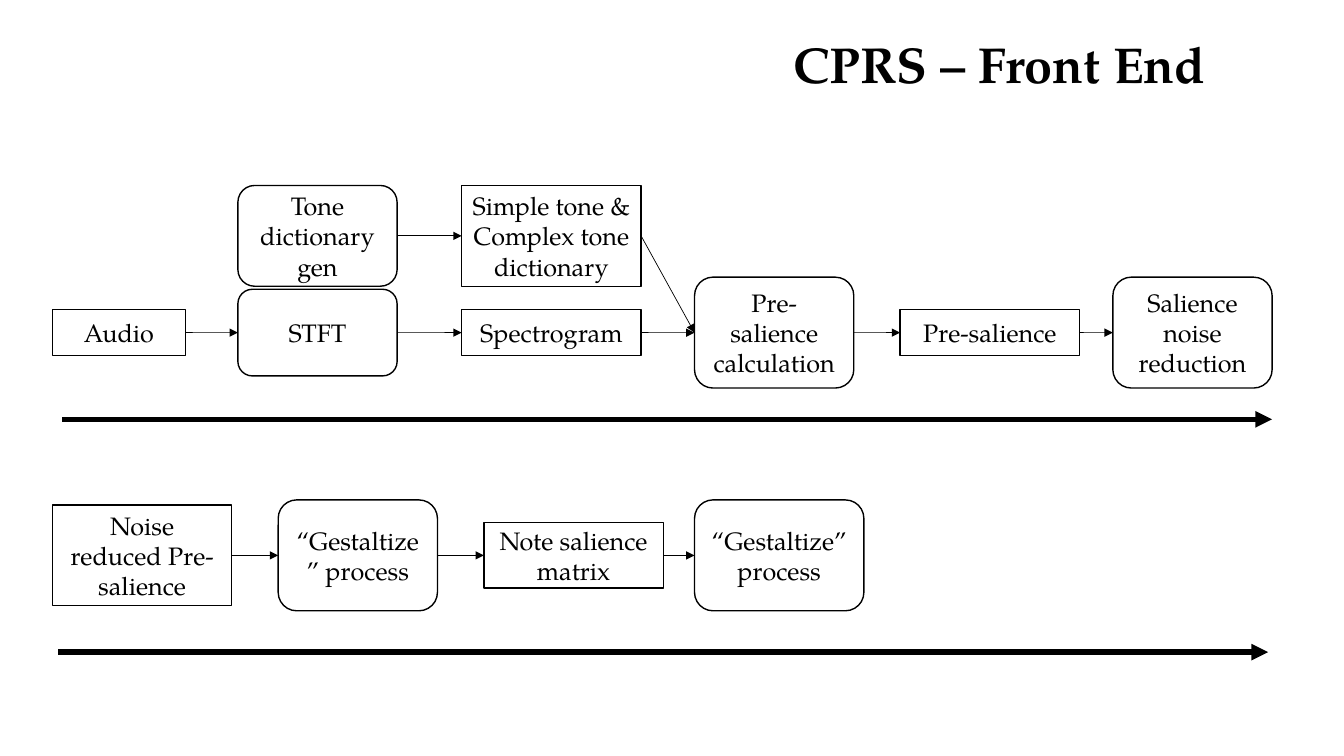
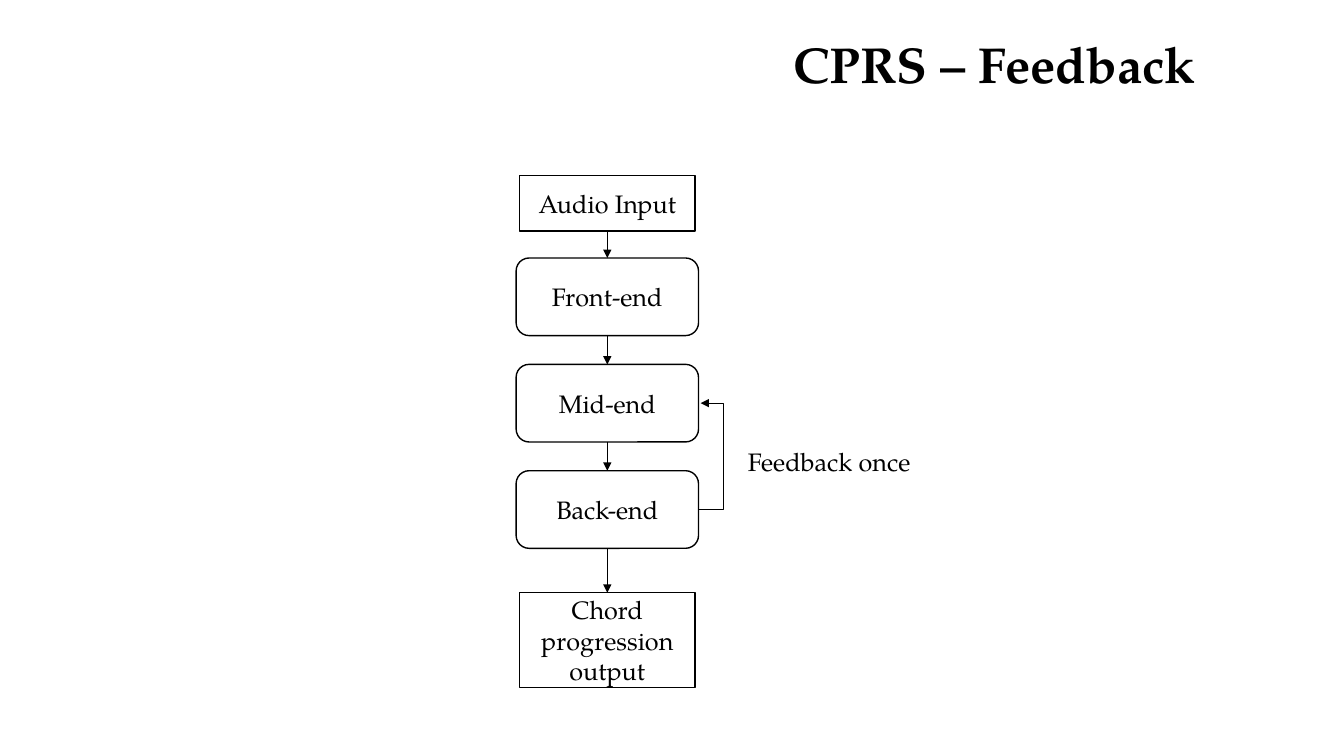
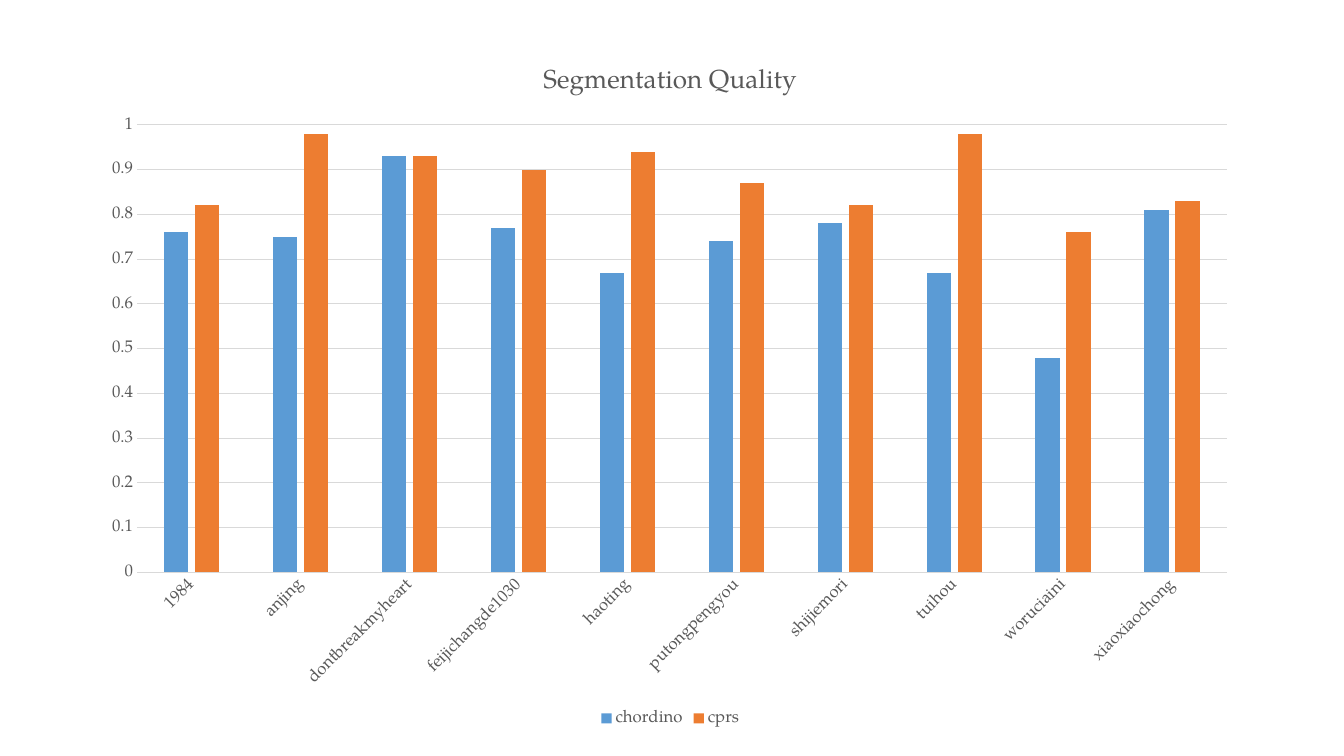
from collections import namedtuple

from lxml.etree import SubElement
from pptx import Presentation
from pptx.chart.data import CategoryChartData
from pptx.dml.color import RGBColor
from pptx.enum.chart import XL_CHART_TYPE, XL_LEGEND_POSITION, XL_TICK_MARK
from pptx.enum.shapes import MSO_CONNECTOR, MSO_SHAPE
from pptx.enum.text import MSO_ANCHOR, MSO_AUTO_SIZE, PP_ALIGN
from pptx.oxml import parse_xml
from pptx.oxml.ns import nsdecls, qn
from pptx.util import Inches, Pt

BLACK = RGBColor(0x00, 0x00, 0x00)
WHITE = RGBColor(0xFF, 0xFF, 0xFF)
GRAY = RGBColor(0x59, 0x59, 0x59)
PALE = RGBColor(0xD9, 0xD9, 0xD9)
BLUE = RGBColor(0x5B, 0x9B, 0xD5)
ORANGE = RGBColor(0xED, 0x7D, 0x31)
FONT = "TeX Gyre Pagella"
CELL = Inches(0.1)
WIDE, HIGH = 133.33, 75
DATA, STEP = MSO_SHAPE.RECTANGLE, MSO_SHAPE.ROUNDED_RECTANGLE
TOP, LEFT, BOTTOM, RIGHT = range(4)

Box = namedtuple("Box", "x y w h")
TITLE = Box(77.7, 2.8, 48.6, 7.1)


def grid(*cells):
    return [int(cell * CELL) for cell in cells]


def style(font, size, color=BLACK, bold=False):
    font.name, font.size, font.bold = FONT, Pt(size), bold
    font.color.rgb = color


def write(frame, text, size, align=PP_ALIGN.LEFT, bold=False):
    frame.text = text
    frame.word_wrap = True
    para = frame.paragraphs[0]
    para.alignment = align
    style(para.runs[0].font, size, bold=bold)


def start(deck, title):
    slide = deck.slides.add_slide(deck.slide_layouts[5])
    head = slide.shapes.title
    head.left, head.top, head.width, head.height = grid(*TITLE)
    write(head.text_frame, title, 36, bold=True)
    head.text_frame.auto_size = MSO_AUTO_SIZE.NONE
    head.text_frame.vertical_anchor = MSO_ANCHOR.TOP
    return slide


def node(slide, kind, box, text):
    shape = slide.shapes.add_shape(kind, *grid(*box))
    shape.shadow.inherit = False
    shape.fill.solid()
    shape.fill.fore_color.rgb = WHITE
    shape.line.color.rgb = BLACK
    shape.line.width = Pt(1)
    write(shape.text_frame, text, 18, PP_ALIGN.CENTER)
    shape.text_frame.vertical_anchor = MSO_ANCHOR.MIDDLE
    return shape


def arrow(slide, ends, width=0.5, kind=MSO_CONNECTOR.STRAIGHT):
    line = slide.shapes.add_connector(kind, *grid(*ends))
    line.line.color.rgb = BLACK
    line.line.width = Pt(width)
    SubElement(line.line._get_or_add_ln(), qn("a:tailEnd"), type="triangle")
    SubElement(line._element.spPr, qn("a:effectLst"))
    return line


def link(slide, first, last, out=RIGHT, into=LEFT):
    line = arrow(slide, (0, 0, 0, 0))
    line.begin_connect(first, out)
    line.end_connect(last, into)


def chain(slide, nodes, out=RIGHT, into=LEFT):
    for first, last in zip(nodes, nodes[1:]):
        link(slide, first, last, out, into)


def row(slide, box, parts):
    nodes = [
        node(slide, kind, Box(box.x + x, box.y + (box.h - h) / 2, w, h), text)
        for text, kind, x, w, h in parts
    ]
    chain(slide, nodes)
    return nodes


def stack(slide, box, parts):
    nodes = [
        node(slide, kind, Box(box.x + (box.w - w) / 2, box.y + y, w, h), text)
        for text, kind, y, w, h in parts
    ]
    chain(slide, nodes, BOTTOM, TOP)
    return nodes


def loop(slide, box, text):
    tip, reach = 0.2, 2.5
    line = arrow(slide, (box.x, box.y + box.h, box.x + tip, box.y),
                 kind=MSO_CONNECTOR.ELBOW)
    guides = line._element.spPr.find(qn("a:prstGeom")).find(qn("a:avLst"))
    SubElement(guides, qn("a:gd"), name="adj1",
               fmla=f"val {round(reach / tip * 100000)}")
    label = slide.shapes.add_textbox(
        *grid(box.x + 3.9, box.y + 3.8, box.w, 4))
    write(label.text_frame, text, 18)


def front(deck):
    slide = start(deck, "CPRS – Front End")
    left, wide = 5.2, 121
    tones = row(slide, Box(left, 18.4, wide, 10), [
        ("Tone dictionary gen", STEP, 18.4, 15.8, 10),
        ("Simple tone & Complex tone dictionary", DATA, 40.6, 17.8, 10),
    ])
    main = row(slide, Box(left, 27.5, wide, 11), [
        ("Audio", DATA, 0, 13.2, 4.6),
        ("STFT", STEP, 18.4, 15.8, 8.6),
        ("Spectrogram", DATA, 40.6, 17.8, 4.6),
        ("Pre-salience calculation", STEP, 63.7, 15.8, 11),
        ("Pre-salience", DATA, 84.1, 17.8, 4.6),
        ("Salience noise reduction", STEP, 105.2, 15.8, 11),
    ])
    link(slide, tones[1], main[3])
    row(slide, Box(left, 49.6, wide, 11), [
        ("Noise reduced Pre-salience", DATA, 0, 17.8, 10),
        ("“Gestaltize” process", STEP, 22.4, 15.8, 11),
        ("Note salience matrix", DATA, 42.8, 17.8, 6.5),
        ("“Gestaltize” process", STEP, 63.7, 16.8, 11),
    ])
    for x, y in ((6.2, 41.6), (5.8, 64.7)):
        arrow(slide, (x, y, x + 120, y), 4)


def back(deck):
    slide = start(deck, "CPRS – Feedback")
    box = Box(51.2, 17.4, 18.1, 50.8)
    steps = [
        (text, STEP, 8.2 + 10.55 * i, box.w, 7.7)
        for i, text in enumerate(("Front-end", "Mid-end", "Back-end"))
    ]
    stack(slide, box, [
        ("Audio Input", DATA, 0, 17.4, 5.5),
        *steps,
        ("Chord progression output", DATA, 41.4, 17.4, 9.4),
    ])
    middle = box.y + steps[1][2] + steps[1][4] / 2
    loop(slide, Box(box.x + box.w, middle, 19, 10.55), "Feedback once")


def place(plot, x, y, w, h):
    plot.insert(0, parse_xml(
        f'<c:layout {nsdecls("c")}><c:manualLayout>'
        '<c:layoutTarget val="inner"/>'
        '<c:xMode val="edge"/><c:yMode val="edge"/>'
        f'<c:x val="{x}"/><c:y val="{y}"/><c:w val="{w}"/><c:h val="{h}"/>'
        '</c:manualLayout></c:layout>'))


def score(deck, box):
    slide = deck.slides.add_slide(deck.slide_layouts[6])
    data = CategoryChartData(number_format="General")
    data.categories = [
        "1984", "anjing", "dontbreakmyheart", "feijichangde1030", "haoting",
        "putongpengyou", "shijiemori", "tuihou", "woruciaini", "xiaoxiaochong",
    ]
    data.add_series("chordino", (0.76, 0.75, 0.93, 0.77, 0.67,
                                 0.74, 0.78, 0.67, 0.48, 0.81))
    data.add_series("cprs", (0.82, 0.98, 0.93, 0.9, 0.94,
                             0.87, 0.82, 0.98, 0.76, 0.83))
    chart = slide.shapes.add_chart(
        XL_CHART_TYPE.COLUMN_CLUSTERED, *grid(*box), data).chart
    style(chart.font, 10)

    chart.has_title = True
    write(chart.chart_title.text_frame, "Segmentation Quality", 18.6,
          PP_ALIGN.CENTER)
    style(chart.chart_title.text_frame.paragraphs[0].runs[0].font, 18.6, GRAY)
    chart.chart_title.include_in_layout = False

    chart.has_legend = True
    chart.legend.position = XL_LEGEND_POSITION.BOTTOM
    chart.legend.include_in_layout = False
    style(chart.legend.font, 12, GRAY)

    names, marks = chart.category_axis, chart.value_axis
    for axis in (names, marks):
        axis.major_tick_mark = axis.minor_tick_mark = XL_TICK_MARK.NONE
        style(axis.tick_labels.font, 12, GRAY)
    names._element.find(qn("c:txPr")).find(qn("a:bodyPr")).set(
        "rot", "-2700000")
    marks.minimum_scale, marks.maximum_scale, marks.major_unit = 0, 1, 0.1
    marks.format.line.fill.background()
    for line in (names.format.line, marks.major_gridlines.format.line):
        line.color.rgb = PALE
        line.width = Pt(0.75)

    plot = chart.plots[0]
    plot.vary_by_categories = False
    plot.gap_width, plot.overlap = 219, -27
    for series, color in zip(plot.series, (BLUE, ORANGE)):
        series.format.fill.solid()
        series.format.fill.fore_color.rgb = color
    area = chart._chartSpace.chart.plotArea
    for old in area.findall(qn("c:layout")):
        area.remove(old)
    place(area, 0.04, 0.12, 0.94, 0.65)


def main():
    deck = Presentation()
    deck.slide_width, deck.slide_height = grid(WIDE, HIGH)
    front(deck)
    back(deck)
    score(deck, Box(9, 4.2, 115, 68.3))
    deck.save("out.pptx")


if __name__ == "__main__":
    main()
